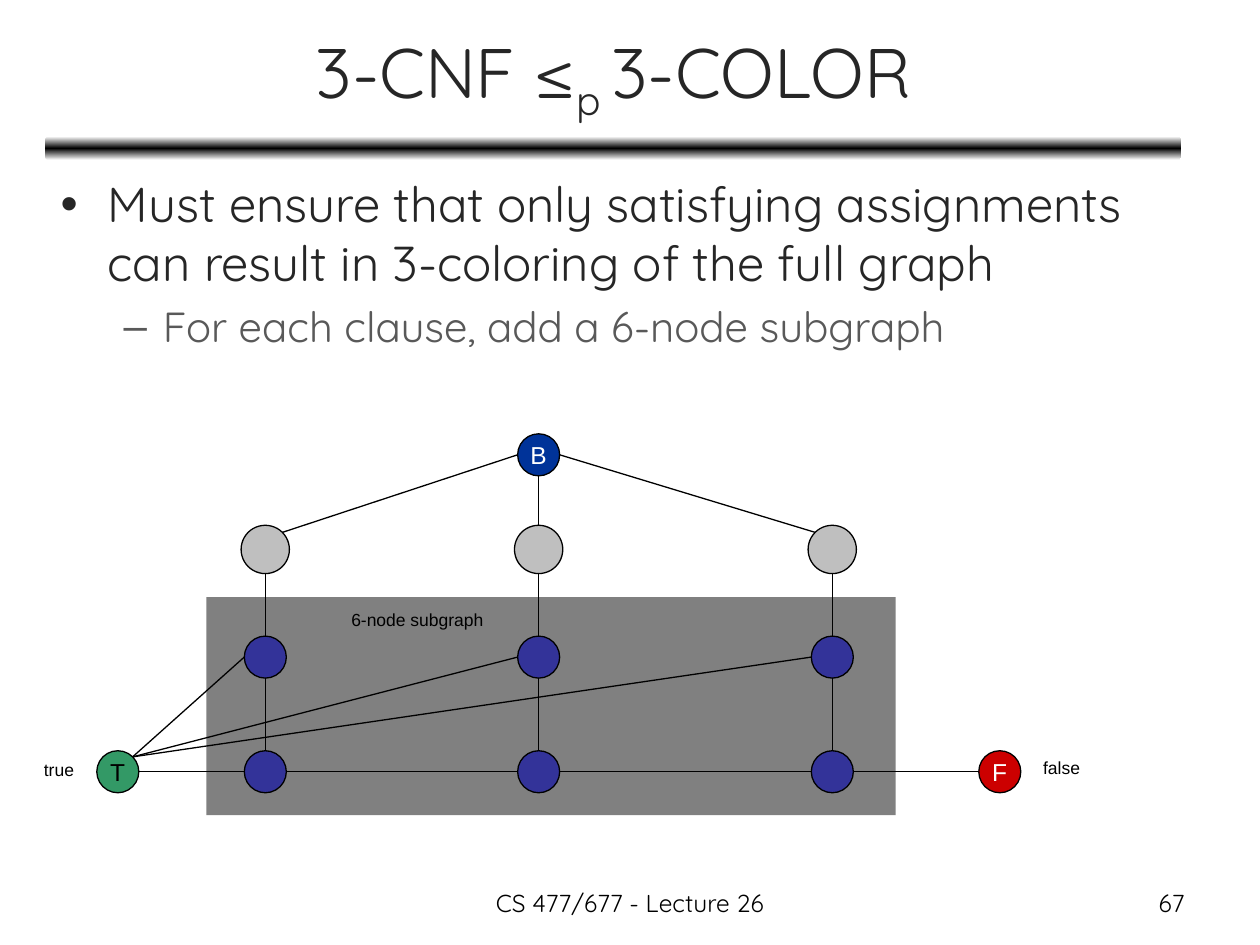
from copy import deepcopy
from dataclasses import dataclass
from math import cos, radians, sin

from lxml.etree import SubElement
from pptx import Presentation
from pptx.dml.color import RGBColor
from pptx.enum.shapes import MSO_CONNECTOR as Link, MSO_SHAPE as Form
from pptx.enum.text import MSO_ANCHOR as Anchor, MSO_AUTO_SIZE as Fit, PP_ALIGN as Align
from pptx.oxml.ns import qn
from pptx.util import Pt


@dataclass(frozen=True)
class Theme:
    sans: str = "Quicksand"
    plain: str = "Arial"
    ink: str = "262626"
    soft: str = "595959"
    black: str = "000000"
    white: str = "FFFFFF"
    band: str = "808080"
    grey: str = "BFBFBF"
    navy: str = "333399"
    blue: str = "003399"
    green: str = "339966"
    red: str = "CC0000"
    title: int = 40
    lead: int = 28
    sub: int = 24
    mark: int = 14
    note: int = 10
    line: float = 0.75


T = Theme()
LEFT, RIGHT, UP, DOWN = 180, 0, 270, 90
NE, NW = 315, 225


def rgb(code):
    return RGBColor.from_string(code)


def text(para, words, size=T.mark, font=T.sans, color=T.black, align=None, shift=None):
    run = para.add_run()
    run.text = words
    run.font.size = Pt(size)
    run.font.name = font
    run.font.color.rgb = rgb(color)
    if align is not None:
        para.alignment = align
    if shift is not None:
        run.font._element.set("baseline", str(shift * 1000))


def place(shape, box):
    shape.left, shape.top, shape.width, shape.height = map(Pt, box)


def label(slide, box, words, wrap=True, **style):
    frame = slide.shapes.add_textbox(*map(Pt, box)).text_frame
    frame.word_wrap = wrap
    frame.auto_size = Fit.NONE if wrap else Fit.SHAPE_TO_FIT_TEXT
    text(frame.paragraphs[0], words, **style)


def block(slide, form, box, fill, line=None):
    shape = slide.shapes.add_shape(form, *map(Pt, box))
    shape.shadow.inherit = False
    shape.fill.solid()
    shape.fill.fore_color.rgb = rgb(fill)
    if line:
        shape.line.color.rgb = rgb(line)
        shape.line.width = Pt(T.line)
    else:
        shape.line.fill.background()
    return shape


def header(slide, box):
    title = slide.shapes.title
    place(title, box)
    frame = title.text_frame
    frame.auto_size, frame.vertical_anchor = Fit.NONE, Anchor.MIDDLE
    para = frame.paragraphs[0]
    for words, shift in (("3-CNF ≤", None), ("p ", -25), ("3-COLOR", 0)):
        text(para, words, size=T.title, color=T.ink, align=Align.CENTER, shift=shift)


def rule(slide, box):
    bar = block(slide, Form.ROUNDED_RECTANGLE, box, T.black)
    bar.fill.gradient()
    bar.fill.gradient_angle = 90
    stops = bar._element.spPr.find(qn("a:gradFill")).find(qn("a:gsLst"))
    stops.insert(1, deepcopy(stops[0]))
    for stop, spot, code in zip(bar.fill.gradient_stops, (0, 0.5, 1), (T.white, T.black, T.white)):
        stop.position = spot
        stop.color.rgb = rgb(code)


def points(slide, box):
    body = slide.placeholders[1]
    place(body, box)
    frame = body.text_frame
    frame.auto_size = Fit.NONE
    rows = (
        ("Must ensure that only satisfying assignments can result in 3-coloring of the full graph",
         0, "•", 27, -27, 0, T.lead, T.ink),
        ("For each clause, add a 6-node subgraph", 1, "–", 58.5, -22.5, 5, T.sub, T.soft),
    )
    for i, (words, level, sign, margin, hang, gap, size, color) in enumerate(rows):
        para = frame.add_paragraph() if i else frame.paragraphs[0]
        para.level = level
        para.space_before = Pt(gap)
        props = para._p.get_or_add_pPr()
        props.set("marL", str(Pt(margin)))
        props.set("indent", str(Pt(hang)))
        SubElement(props, qn("a:buChar")).set("char", sign)
        text(para, words, size=size, color=color)


def node(slide, spot, fill, words="", color=T.black):
    x, y, r = spot
    shape = block(slide, Form.OVAL, (x - r, y - r, 2 * r, 2 * r), fill, T.black)
    if words:
        frame = shape.text_frame
        frame.word_wrap, frame.vertical_anchor = False, Anchor.MIDDLE
        text(frame.paragraphs[0], words, font=T.plain, color=color, align=Align.CENTER)


def rim(spot, turn):
    x, y, r = spot
    return Pt(x + r * cos(radians(turn))), Pt(y + r * sin(radians(turn)))


def edge(slide, start, out, end, into):
    line = slide.shapes.add_connector(Link.STRAIGHT, *rim(start, out), *rim(end, into))
    line.line.color.rgb = rgb(T.black)
    line.line.width = Pt(T.line)
    SubElement(line._element.spPr, qn("a:effectLst"))


def graph(slide, box):
    left, top = box[:2]

    def move(x, y, *rest):
        return (left + x, top + y, *rest)

    cols = (133.6, 289.8, 457.6)
    base = move(289.8, 12.9, 12)
    true, false = move(49.3, 194, 12), move(553.3, 194, 12)
    terms = [move(x, 67, 13.8) for x in cols]
    upper = [move(x, 128.5, 12) for x in cols]
    lower = [move(x, 194, 12) for x in cols]

    block(slide, Form.RECTANGLE, move(100, 94.3, 393.8, 124.6), T.band)
    chain = [true, *lower, false]
    for a, b in zip(chain, chain[1:]):
        edge(slide, a, RIGHT, b, LEFT)
    for term, high, low in zip(terms, upper, lower):
        edge(slide, term, DOWN, high, UP)
        edge(slide, high, DOWN, low, UP)
        edge(slide, true, NE, high, LEFT)
    for term, out, into in zip(terms, (LEFT, DOWN, RIGHT), (NE, UP, NW)):
        edge(slide, base, out, term, into)

    for spots, fill in ((terms, T.grey), (upper + lower, T.navy)):
        for spot in spots:
            node(slide, spot, fill)
    node(slide, base, T.blue, "B", T.white)
    node(slide, true, T.green, "T")
    node(slide, false, T.red, "F", T.white)

    for words, spot in (
        ("6-node subgraph", (175.7, 97.2, 90.7, 19.4)),
        ("true", (0, 183, 34, 21.6)),
        ("false", (571, 182, 36.7, 21.6)),
    ):
        label(slide, move(*spot), words, wrap=False, size=T.note, font=T.plain)


def footer(slide, box):
    left, top, width, high = box
    label(slide, (left, top, 228, high), "CS 477/677 - Lecture 26", align=Align.CENTER)
    label(slide, (left + width - 168, top, 168, high), "67", align=Align.RIGHT)


def main():
    deck = Presentation()
    deck.slide_width, deck.slide_height = Pt(720), Pt(540)
    slide = deck.slides.add_slide(deck.slide_layouts[1])
    rule(slide, (26, 78, 649, 13.5))
    header(slide, (26.6, 8, 648, 71))
    points(slide, (27.4, 95.8, 648, 399.6))
    graph(slide, (18, 247, 608, 219))
    footer(slide, (246, 504, 438, 25))
    deck.save("out.pptx")


if __name__ == "__main__":
    main()
